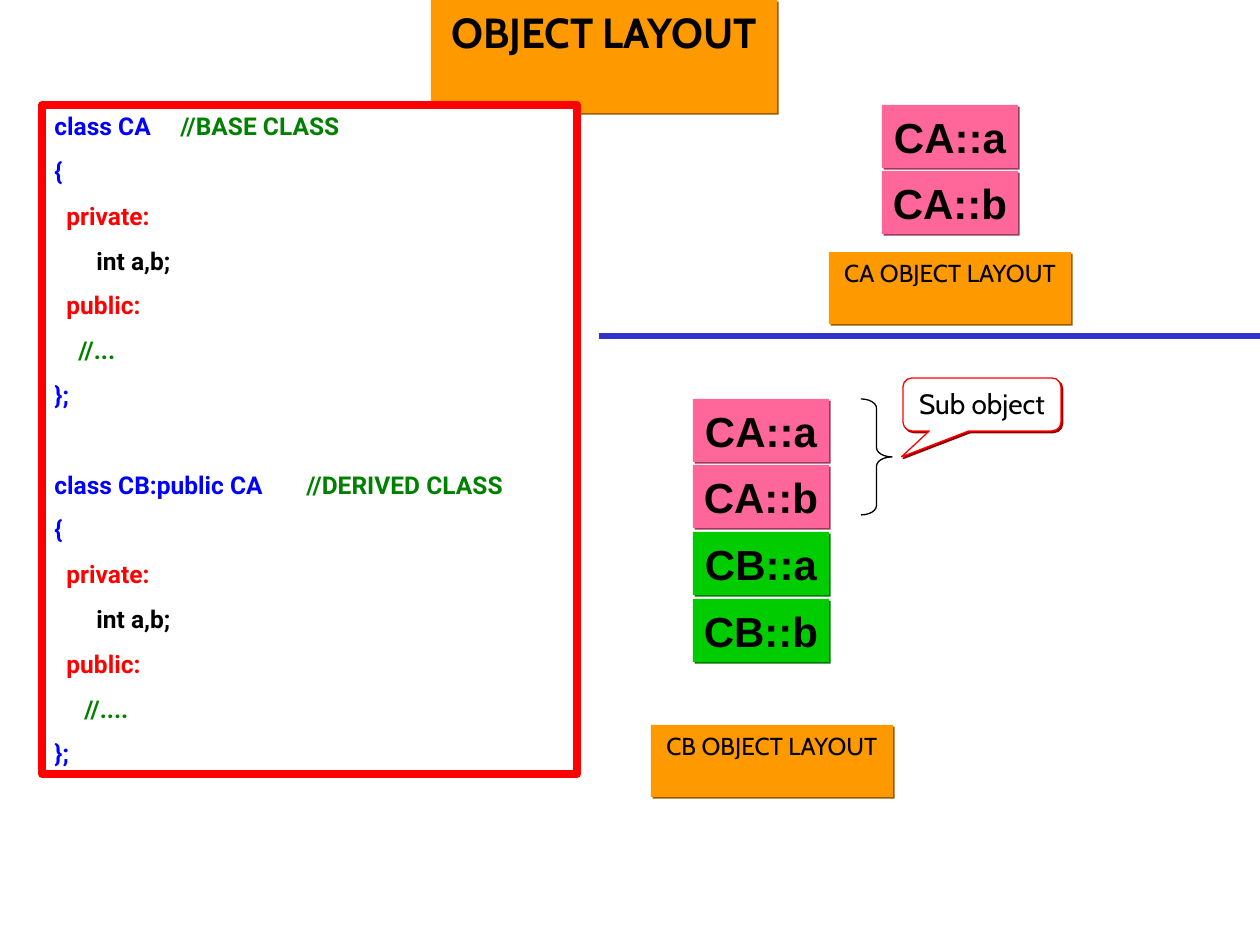
from lxml import etree
from pptx import Presentation
from pptx.dml.color import RGBColor
from pptx.enum.shapes import MSO_CONNECTOR, MSO_SHAPE
from pptx.enum.text import MSO_ANCHOR, PP_ALIGN
from pptx.oxml.ns import qn
from pptx.util import Pt

RECT = MSO_SHAPE.RECTANGLE
CALLOUT = MSO_SHAPE.ROUNDED_RECTANGULAR_CALLOUT
BRACE = MSO_SHAPE.RIGHT_BRACE
STRAIGHT = MSO_CONNECTOR.STRAIGHT
TOP, MIDDLE = MSO_ANCHOR.TOP, MSO_ANCHOR.MIDDLE
CENTER, LEFT = PP_ALIGN.CENTER, PP_ALIGN.LEFT
SCALE = 914400 / 126

BLACK, WHITE, RED, BLUE = "000000", "FFFFFF", "FF0000", "0000FF"
NOTE = "008000"
ORANGE = ("FF9900", "985B00")
PINK = ("FF6699", "983C5B")
GREEN = ("00CC00", "007900")
SPACE = 6  # width of one space in the code font


def px(n):
    return round(n * SCALE)


def rgb(text):
    return RGBColor.from_string(text)


def assign(target, values):
    for name, value in values.items():
        setattr(target, name, value)


class Painter:
    """Holds the text styles and the slide being drawn."""

    title = dict(name="Cabin", size=Pt(24), bold=True)
    label = dict(name="Cabin", size=Pt(14), bold=False)
    bubble = dict(name="Cabin", size=Pt(16), bold=False)
    cell = dict(name="Arial", size=Pt(24), bold=True)
    source = dict(name="Roboto", size=Pt(14), bold=True)

    def __init__(self, slide):
        self.slide = slide

    def shape(self, kind, box, fill=None, line=None, weight=0.75, shade=None):
        item = self.slide.shapes.add_shape(kind, *map(px, box))
        item.shadow.inherit = False
        if fill:
            item.fill.solid()
            item.fill.fore_color.rgb = rgb(fill)
        else:
            item.fill.background()
        if line:
            item.line.color.rgb = rgb(line)
            item.line.width = Pt(weight)
        else:
            item.line.fill.background()
        if shade:
            effects = item._element.spPr.find(qn("a:effectLst"))
            drop = etree.SubElement(effects, qn("a:outerShdw"), blurRad="0",
                                    dist=str(Pt(1.4)), dir="2700000",
                                    algn="ctr", rotWithShape="0")
            etree.SubElement(drop, qn("a:srgbClr"), val=shade)
        return item

    def run(self, para, text, style, color=BLACK):
        part = para.add_run()
        part.text = text
        assign(part.font, style)
        part.font.color.rgb = rgb(color)

    def box(self, kind, box, text, style, colors, line=None, anchor=TOP, wrap=True):
        fill, shade = colors
        item = self.shape(kind, box, fill, line, shade=shade)
        frame = item.text_frame
        assign(frame, dict(word_wrap=wrap, vertical_anchor=anchor))
        para = frame.paragraphs[0]
        para.alignment = CENTER
        self.run(para, text, style)
        return item

    def stack(self, left, top, cells):
        """Draw the members of an object from the top down."""
        for i, (text, colors) in enumerate(cells):
            self.box(RECT, (left, top + round(66.5 * i), 136, 63), text,
                     self.cell, colors, anchor=MIDDLE, wrap=False)

    def code(self, box, lines):
        """Draw lines of (indent in spaces, tab stop, space before, runs)."""
        frame = self.shape(RECT, box, WHITE, RED, 4.5).text_frame
        assign(frame, dict(word_wrap=True, vertical_anchor=TOP))
        for i, (indent, stop, before, runs) in enumerate(lines):
            para = frame.add_paragraph() if i else frame.paragraphs[0]
            assign(para, dict(alignment=LEFT, space_before=Pt(before)))
            props = para._p.get_or_add_pPr()
            props.set("marL", str(px(indent * SPACE)))
            props.set("indent", "0")
            if stop:
                tabs = etree.SubElement(props, qn("a:tabLst"))
                etree.SubElement(tabs, qn("a:tab"), pos=str(px(stop)), algn="l")
            for text, color in runs:
                self.run(para, text, self.source, color)

    def rule(self, left, top, right, color, weight):
        item = self.slide.shapes.add_connector(
            STRAIGHT, px(left), px(top), px(right), px(top))
        item.line.color.rgb = rgb(color)
        item.line.width = Pt(weight)
        etree.SubElement(item._element.spPr, qn("a:effectLst"))


def listing(head, stop, note, dots, indent, before=8.8):
    """Return the lines of one class."""
    return [
        (0, stop, before, [(head + "\t", BLUE), (note, NOTE)]),
        (0, 0, 8.8, [("{", BLUE)]),
        (2, 0, 8.8, [("private:", RED)]),
        (7, 0, 8.8, [("int a,b;", BLACK)]),
        (2, 0, 8.8, [("public:", RED)]),
        (indent, 0, 8.8, [(dots, NOTE)]),
        (0, 0, 8.8, [("};", BLUE)]),
    ]


def main():
    deck = Presentation()
    assign(deck, dict(slide_width=px(1260), slide_height=px(945)))
    art = Painter(deck.slides.add_slide(deck.slide_layouts[6]))

    art.box(RECT, (431, 0, 346, 113), "OBJECT LAYOUT", art.title, ORANGE)
    base = listing("class CA", 134, "//BASE CLASS", "//...", 4)
    derived = listing("class CB:public CA", 227, "//DERIVED CLASS", "//....", 5,
                      before=34.4)
    art.code((42, 105, 535, 669), base + derived)

    members = [("CA::a", PINK), ("CA::b", PINK)]
    art.stack(882, 105, members)
    art.box(RECT, (829, 252, 242, 72), "CA OBJECT LAYOUT", art.label, ORANGE)
    art.rule(599, 336, 1260, "3333CC", 3)

    art.stack(693, 399, members + [("CB::a", GREEN), ("CB::b", GREEN)])
    art.box(RECT, (651, 725, 242, 72), "CB OBJECT LAYOUT", art.label, ORANGE)
    bubble = art.box(CALLOUT, (903, 378, 158, 53), "Sub object", art.bubble,
                     (WHITE, "980000"), line=RED)
    brace = art.shape(BRACE, (861, 399, 31, 116), line=BLACK)
    for item, values in ((bubble, (-0.51, 0.99, 0.17)), (brace, (0.3, 0.5))):
        for i, value in enumerate(values):
            item.adjustments[i] = value

    deck.save("out.pptx")


if __name__ == "__main__":
    main()
